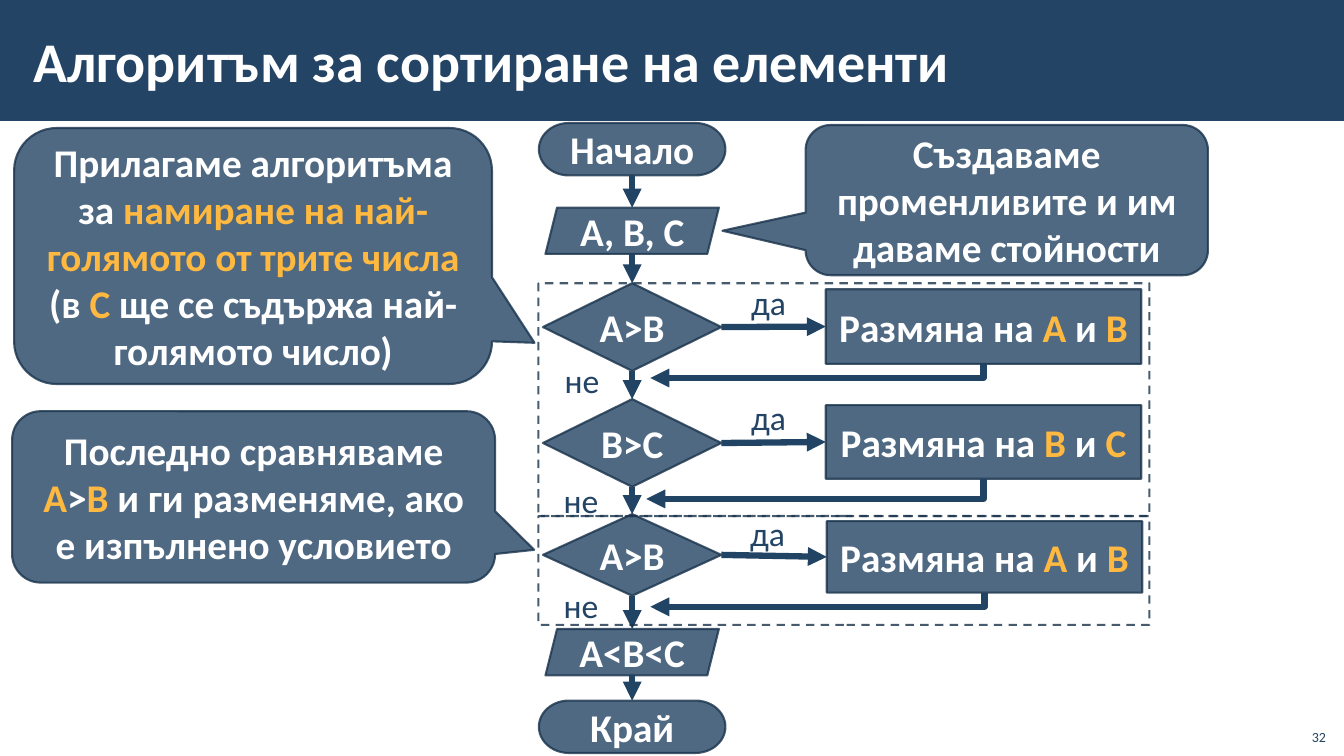
from itertools import pairwise

from pptx import Presentation
from pptx.dml.color import RGBColor
from pptx.enum.dml import MSO_LINE
from pptx.enum.shapes import MSO_CONNECTOR, MSO_SHAPE
from pptx.enum.text import MSO_ANCHOR, MSO_AUTO_SIZE, PP_ALIGN
from pptx.oxml.ns import qn
from pptx.util import Inches, Pt
from lxml import etree

RECT, DIAMOND = MSO_SHAPE.RECTANGLE, MSO_SHAPE.DIAMOND
TERMINATOR, DATA = MSO_SHAPE.FLOWCHART_TERMINATOR, MSO_SHAPE.PARALLELOGRAM
CALLOUT = MSO_SHAPE.ROUNDED_RECTANGULAR_CALLOUT
STRAIGHT, ELBOW = MSO_CONNECTOR.STRAIGHT, MSO_CONNECTOR.ELBOW
LEFT, CENTER, RIGHT = PP_ALIGN.LEFT, PP_ALIGN.CENTER, PP_ALIGN.RIGHT
TOP, MIDDLE, BOTTOM = MSO_ANCHOR.TOP, MSO_ANCHOR.MIDDLE, MSO_ANCHOR.BOTTOM
FIT, DASH = MSO_AUTO_SIZE.SHAPE_TO_FIT_TEXT, MSO_LINE.DASH

COLORS = {"navy": "234465", "edge": "1A334C", "arrow": "214364",
          "white": "FFFFFF", "accent": "FFB840"}
FONT = "Calibri"
CELL = Inches(0.1)
COLUMNS, ROWS = 133.3, 75
SPINE = 62.7
ELBOW_DROPS = [(1.4, 64.5), (2, 64.1), (1.4, 64.5)]


def color(name):
    return RGBColor.from_string(COLORS[name])


def grid(*cells):
    return [round(cell * CELL) for cell in cells]


def write(shape, text, size=28, ink="white", bold=True, align=CENTER,
          anchor=MIDDLE, insets=(1, 0.5), spacing=None, wrap=True):
    frame = shape.text_frame
    frame.word_wrap = wrap
    frame.vertical_anchor = anchor
    frame.margin_left = frame.margin_right = grid(insets[0])[0]
    frame.margin_top = frame.margin_bottom = grid(insets[1])[0]
    para = frame.paragraphs[0]
    para.alignment = align
    if spacing:
        para.line_spacing = spacing
    for index, part in enumerate(text.split("*")):
        if part:
            span = para.add_run()
            span.text = part
            span.font.name, span.font.size, span.font.bold = FONT, Pt(size), bold
            span.font.color.rgb = color("accent" if index % 2 else ink)


class FlowSlide:
    def __init__(self, deck):
        self.page = deck.slides.add_slide(deck.slide_layouts[6])
        self.shapes = self.page.shapes

    def fade(self, shape):
        for tint in shape._element.spPr.iter(qn("a:srgbClr")):
            etree.SubElement(tint, qn("a:alpha"), val="80000")

    def band(self, *place):
        box = self.shapes.add_shape(RECT, *grid(*place))
        box.shadow.inherit = False
        box.fill.solid()
        box.fill.fore_color.rgb = color("navy")
        box.line.fill.background()

    def outline(self, kind, *place):
        box = self.shapes.add_shape(kind, *grid(*place))
        box.shadow.inherit = False
        box.line.color.rgb = color("edge")
        box.line.width = Pt(1.5)
        return box

    def node(self, kind, text, *place):
        box = self.outline(kind, *place)
        box.fill.solid()
        box.fill.fore_color.rgb = color("navy")
        self.fade(box)
        write(box, text)
        return box

    def callout(self, text, tip, *place):
        box = self.node(CALLOUT, text, *place)
        box.adjustments[0], box.adjustments[1] = tip

    def frame(self, *place):
        box = self.outline(RECT, *place)
        box.fill.background()
        box.line.dash_style = DASH
        self.fade(box)

    def text(self, text, *place, fit=False, **style):
        box = self.shapes.add_textbox(*grid(*place))
        write(box, text, **style)
        if fit:
            box.text_frame.auto_size = FIT

    def label(self, text, left, top):
        self.text(text, left, top, 7.6, 6.8, fit=True, size=24, ink="navy",
                  bold=False, align=LEFT, anchor=TOP, insets=(1.6, 1.2),
                  spacing=1.1, wrap=False)

    def line(self, kind, *ends):
        link = self.shapes.add_connector(kind, *ends)
        link.line.color.rgb = color("arrow")
        link.line.width = Pt(4.5)
        etree.SubElement(link.line._get_or_add_ln(), qn("a:tailEnd"), type="triangle")
        etree.SubElement(link._element.spPr, qn("a:effectLst"))
        return link

    def down(self, upper, lower):
        middle = grid(SPINE)[0]
        link = self.line(STRAIGHT, middle, upper.top + upper.height, middle, lower.top)
        if upper.auto_shape_type != DATA:
            link.begin_connect(upper, 2)
        if lower.auto_shape_type != DATA:
            link.end_connect(lower, 0)

    def across(self, test, action):
        link = self.line(STRAIGHT, 0, 0, 0, 0)
        link.begin_connect(test, 3)
        link.end_connect(action, 1)

    def back(self, action, drop, end):
        start = action.left + action.width // 2
        bottom = action.top + action.height
        drop, end = grid(drop, end)
        link = self.line(ELBOW, start, bottom, end, bottom + drop)
        link.begin_connect(action, 2)
        run = start - end
        link._element.spPr.prstGeom.set("prst", "bentConnector2")
        xfrm = link._element.spPr.xfrm
        for flip in ("flipH", "flipV"):
            xfrm.attrib.pop(flip, None)
        xfrm.set("rot", str(90 * 60000))
        link.left = (start + end - drop) // 2
        link.top = bottom + (drop - run) // 2
        link.width, link.height = drop, run


def main():
    deck = Presentation()
    deck.slide_width, deck.slide_height = grid(COLUMNS, ROWS)
    flow = FlowSlide(deck)
    flow.band(0, 0, COLUMNS, 12)
    flow.text("Алгоритъм за сортиране на елементи", 2.1, 1.1, 112.3, 9.7,
              size=40, align=LEFT, insets=(1.2, 0.4))

    steps = [flow.node(kind, text, SPINE - width / 2, top, width, height)
             for kind, text, top, width, height in [
                 (TERMINATOR, "Начало", 12.2, 18.5, 5.2),
                 (DATA, "A, B, C", 20.6, 17.2, 4.6),
                 (DIAMOND, "A>B", 28.1, 17.7, 8.7),
                 (DIAMOND, "B>C", 39.6, 17.7, 8.7),
                 (DIAMOND, "A>B", 51, 17.7, 8.1),
                 (DATA, "A<B<C", 62.4, 17.2, 4.6),
                 (TERMINATOR, "Край", 69.5, 18.5, 5.2)]]
    swaps = [flow.node(RECT, f"Размяна на *{first} *и *{second}*", left, top, 31.3, height)
             for first, second, left, top, height in [
                 ("A", "B", 81.9, 28.7, 7.4),
                 ("B", "C", 81.9, 40.2, 7.3),
                 ("A", "B", 82, 51.7, 7.1)]]

    for upper, lower in pairwise(steps):
        flow.down(upper, lower)
    for test, swap, (drop, end) in zip(steps[2:5], swaps, ELBOW_DROPS):
        flow.across(test, swap)
        flow.back(swap, drop, end)
    for text, left, top in [("да", 72.9, 26.4), ("да", 72.9, 37.8), ("да", 72.8, 49.3),
                            ("не", 54.4, 34.1), ("не", 54.3, 46), ("не", 54.3, 56.4)]:
        flow.label(text, left, top)

    flow.callout("Създаваме променливите и им даваме стойности",
                 (-0.707, 0.204), 79.9, 12.4, 39.9, 14.9)
    flow.callout("Прилагаме алгоритъма за *намиране на най-голямото от трите числа *"
                 "(в *C* ще се съдържа най-голямото число)",
                 (0.589, 0.339), 1.4, 12.7, 47.4, 25.4)
    flow.callout("Последно сравняваме *A*>*B* и ги разменяме, ако е изпълнено условието",
                 (0.581, 0.309), 1.2, 40.8, 47.9, 17)
    for top, height in [(28.1, 23.1), (51.2, 10.8)]:
        flow.frame(53.4, top, 60.6, height)

    flow.text("32", 128.5, 71.2, 4, 3.2, size=10, ink="navy", bold=False,
              align=RIGHT, anchor=BOTTOM)
    deck.save("out.pptx")


if __name__ == "__main__":
    main()
